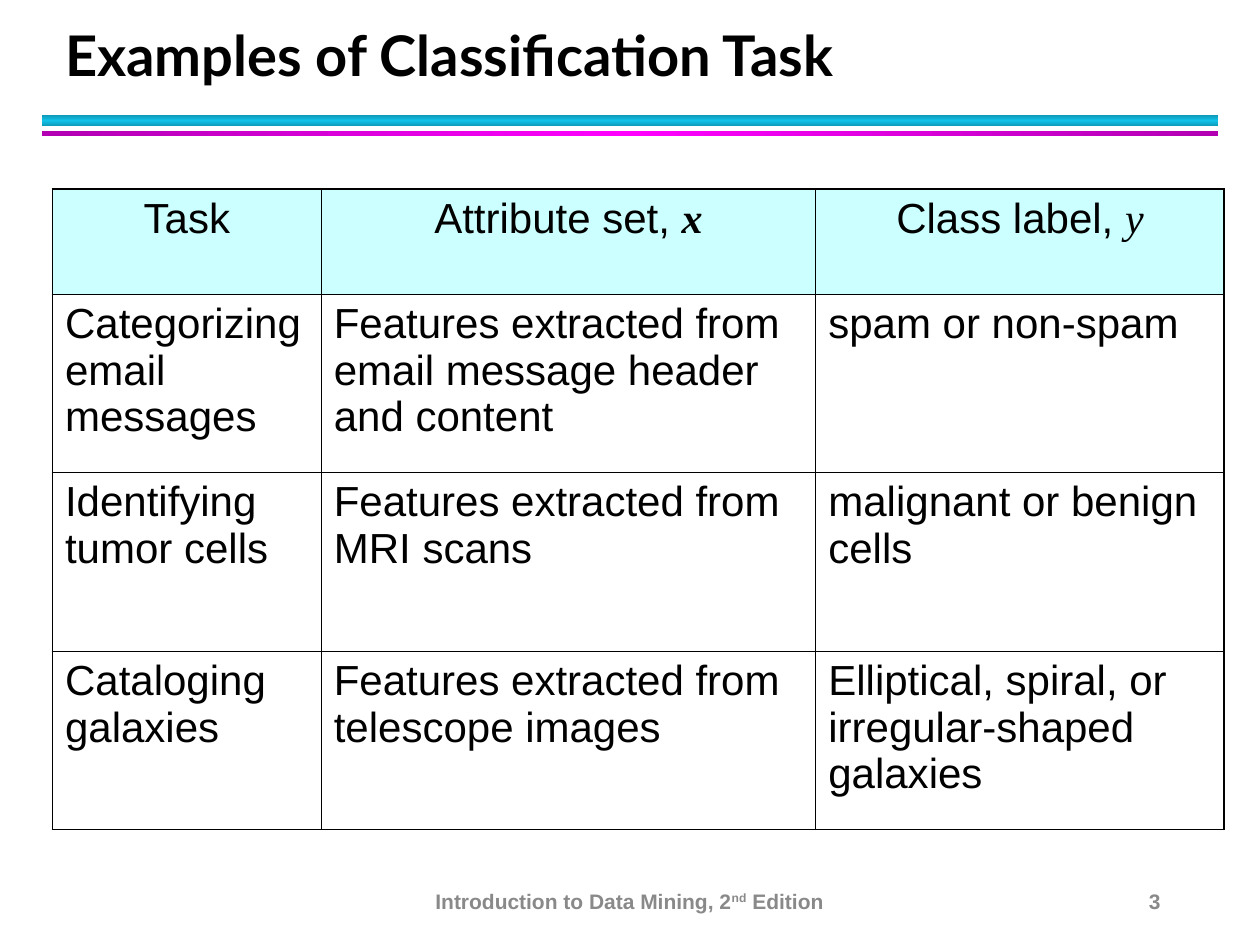
from copy import deepcopy

from lxml.etree import SubElement
from pptx import Presentation
from pptx.dml.color import RGBColor as RGB
from pptx.enum.shapes import MSO_SHAPE as Shape
from pptx.enum.text import MSO_ANCHOR as Anchor, MSO_AUTO_SIZE as Fit, PP_ALIGN as Align
from pptx.oxml.ns import qn
from pptx.util import Inches, Pt

HUES = {
    "ink": "000000", "gray": "898989", "head": "CCFFFF",
    "teal": "0E9BBA", "cyan": "12C2E9", "plum": "B200B2", "pink": "FF00FF",
}
COLS, ROWS = 120, 90
MATH = "Times New Roman"
THICK, THIN = 1.08, 0.45

TASKS = [
    ["Task",
     ["Attribute set, ", ("x", {"font": MATH, "bold": True, "italic": True})],
     ["Class label, ", ("y", {"font": MATH, "italic": True})]],
    ["Categorizing email messages",
     "Features extracted from email message header and content",
     "spam or non-spam"],
    ["Identifying tumor cells", "Features extracted from MRI scans",
     "malignant or benign cells"],
    ["Cataloging galaxies", "Features extracted from telescope images",
     "Elliptical, spiral, or irregular-shaped galaxies"],
]


def hue(name):
    return RGB.from_string(HUES[name])


def write(frame, parts, align=Align.LEFT, lead=None, after=0, **base):
    """Fill a frame with one paragraph; a part is text or (text, own format)."""
    para = frame.paragraphs[0]
    para.alignment, para.space_after = align, Pt(after)
    if lead:
        para.line_spacing = Pt(lead)
    for part in [parts] if isinstance(parts, str) else parts:
        words, own = (part, {}) if isinstance(part, str) else part
        form = {"font": "Arial", "size": 24, "color": "ink", "bold": False,
                "italic": False, "lift": 0, **base, **own}
        run = para.add_run()
        run.text = words
        font = run.font
        font.name, font.size = form["font"], Pt(form["size"])
        font.bold, font.italic = form["bold"], form["italic"]
        font.color.rgb = hue(form["color"])
        if form["lift"]:
            font._element.set("baseline", str(form["lift"] * 1000))


def edge(cell, side, width):
    line = SubElement(cell._tc.get_or_add_tcPr(), qn(f"a:ln{side}"), w=str(Pt(width)))
    fill = SubElement(line, qn("a:solidFill"))
    SubElement(fill, qn("a:srgbClr"), val=HUES["ink"])


class Deck:
    def __init__(self):
        self.prs = Presentation()
        self.prs.slide_width, self.prs.slide_height = Inches(10), Inches(7.5)
        self.slide = self.prs.slides.add_slide(self.prs.slide_layouts[5])
        self.shapes = self.slide.shapes

    def wide(self, cols):
        return round(self.prs.slide_width * cols / COLS)

    def high(self, rows):
        return round(self.prs.slide_height * rows / ROWS)

    def area(self, x, y, w, h):
        return self.wide(x), self.high(y), self.wide(w), self.high(h)

    def bar(self, area, rim, core, angle):
        """Draw a band that shades from rim to core and back."""
        band = self.shapes.add_shape(Shape.RECTANGLE, *self.area(*area))
        band.shadow.inherit = False
        band.line.fill.background()
        band.fill.gradient()
        band.fill.gradient_angle = angle
        first, mid = band.fill.gradient_stops
        first.color.rgb, first.position = hue(rim), 0
        mid.color.rgb, mid.position = hue(core), 0.5
        stops = band._element.spPr.find(".//" + qn("a:gsLst"))
        last = deepcopy(stops[0])
        last.set("pos", "100000")
        stops.append(last)

    def title(self, area, words):
        box = self.shapes.title
        box.left, box.top, box.width, box.height = self.area(*area)
        frame = box.text_frame
        frame.auto_size, frame.vertical_anchor = Fit.NONE, Anchor.BOTTOM
        write(frame, words, lead=36, font="Lato", size=32, bold=True)

    def note(self, area, parts, align):
        frame = self.shapes.add_textbox(*self.area(*area)).text_frame
        frame.word_wrap, frame.vertical_anchor = True, Anchor.MIDDLE
        write(frame, parts, align, size=12, color="gray", bold=True)

    def table(self, x, y, wides, highs, data):
        area = self.area(x, y, sum(wides), sum(highs))
        grid = self.shapes.add_table(len(highs), len(wides), *area).table
        for col, wide in zip(grid.columns, wides):
            col.width = self.wide(wide)
        for row, high in zip(grid.rows, highs):
            row.height = self.high(high)
        for r, line in enumerate(data):
            for c, parts in enumerate(line):
                cell = grid.cell(r, c)
                rims = {"L": c == 0, "R": c == len(wides) - 1,
                        "T": r == 0, "B": r == len(highs) - 1}
                for side, outer in rims.items():
                    edge(cell, side, THICK if outer else THIN)
                if r == 0:
                    cell.fill.solid()
                    cell.fill.fore_color.rgb = hue("head")
                else:
                    cell.fill.background()
                write(cell.text_frame, parts, Align.LEFT if r else Align.CENTER, after=4)


def main():
    deck = Deck()
    deck.bar((4, 11, 112, 1), "teal", "cyan", 90)
    deck.bar((4, 12.5, 112, 0.5), "plum", "pink", 0)
    deck.title((5, 2, 108.7, 7), "Examples of Classification Task")
    deck.table(5, 18, [25.6, 47.1, 38.9], [10, 17, 17, 17], TASKS)
    deck.note((39.7, 83.4, 40.5, 4.8),
              ["Introduction to Data Mining, 2", ("nd", {"lift": 30}), " Edition"],
              Align.CENTER)
    deck.note((84.7, 83.4, 27, 4.8), "3", Align.RIGHT)
    deck.prs.save("out.pptx")


if __name__ == "__main__":
    main()
